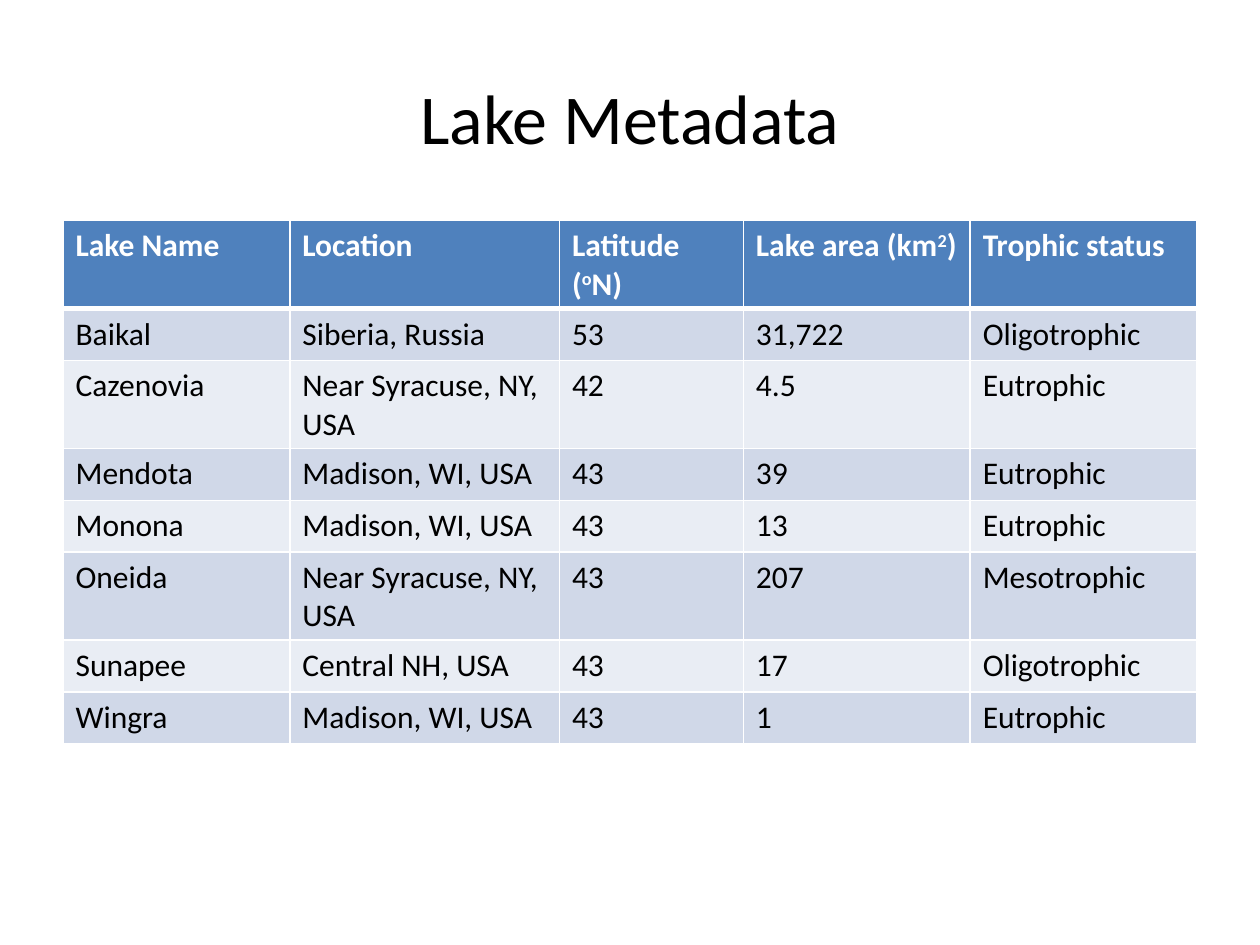
from dataclasses import dataclass

from lxml import etree
from pptx import Presentation
from pptx import util as u
from pptx.dml import color
from pptx.enum import text
from pptx.oxml import ns


@dataclass(frozen=True)
class Theme:
    """Font, type sizes, colours and border widths of the slide."""
    font: str = "Calibri"
    title_size: int = 40
    table_size: int = 18
    ink: str = "000000"
    white: str = "FFFFFF"
    header: str = "4F81BD"
    bands: tuple = ("D0D8E8", "E9EDF4")
    thin: int = 1
    thick: int = 3


THEME = Theme()
COLUMN_WIDTHS = (1.8, 2.14, 1.46, 1.8, 1.8)
ROW_HEIGHT = 0.41
HEADINGS = (
    ("Lake Name",),
    ("Location",),
    ("Latitude (", "o", "N)"),
    ("Lake area (km", "2", ")"),
    ("Trophic status",),
)
LAKES = (
    ("Baikal", "Siberia, Russia", "53", "31,722", "Oligotrophic"),
    ("Cazenovia", "Near Syracuse, NY, USA", "42", "4.5", "Eutrophic"),
    ("Mendota", "Madison, WI, USA", "43", "39", "Eutrophic"),
    ("Monona", "Madison, WI, USA", "43", "13", "Eutrophic"),
    ("Oneida", "Near Syracuse, NY, USA", "43", "207", "Mesotrophic"),
    ("Sunapee", "Central NH, USA", "43", "17", "Oligotrophic"),
    ("Wingra", "Madison, WI, USA", "43", "1", "Eutrophic"),
)


def add_span(para, words, size, ink, bold=False, raised=False):
    """Add one run, raised as a superscript if asked."""
    span = para.add_run()
    span.text = words
    span.font.name = THEME.font
    span.font.size = u.Pt(size)
    span.font.bold = bold
    span.font.color.rgb = color.RGBColor.from_string(ink)
    if raised:
        span.font._element.set("baseline", "30000")


def add_title(page, words):
    """Add the centred title."""
    box = page.shapes.add_textbox(u.Inches(0.5), u.Inches(0.3), u.Inches(9), u.Inches(1.25))
    frame = box.text_frame
    frame.word_wrap = True
    frame.vertical_anchor = text.MSO_ANCHOR.MIDDLE
    para = frame.paragraphs[0]
    para.alignment = text.PP_ALIGN.CENTER
    add_span(para, words, THEME.title_size, THEME.ink)


def add_borders(cell, top, bottom):
    """Draw white borders on all four sides of a cell."""
    properties = cell._tc.get_or_add_tcPr()
    widths = {"lnL": THEME.thin, "lnR": THEME.thin, "lnT": top, "lnB": bottom}
    for side, width in widths.items():
        line = etree.SubElement(properties, ns.qn(f"a:{side}"), w=str(u.Pt(width)))
        fill = etree.SubElement(line, ns.qn("a:solidFill"))
        etree.SubElement(fill, ns.qn("a:srgbClr"), val=THEME.white)


def fill_cell(cell, parts, row):
    """Style a cell and write its parts, every second one raised."""
    is_header = row == 0
    add_borders(
        cell,
        top=THEME.thick if row == 1 else THEME.thin,
        bottom=THEME.thick if is_header else THEME.thin,
    )
    shade = THEME.header if is_header else THEME.bands[(row - 1) % 2]
    cell.fill.solid()
    cell.fill.fore_color.rgb = color.RGBColor.from_string(shade)
    ink = THEME.white if is_header else THEME.ink
    para = cell.text_frame.paragraphs[0]
    for index, part in enumerate(parts):
        add_span(para, part, THEME.table_size, ink, is_header, raised=index % 2 == 1)


def add_lake_table(page):
    """Add the table of lakes under its header row."""
    rows = [HEADINGS] + [[(value,) for value in lake] for lake in LAKES]
    table = page.shapes.add_table(
        len(rows), len(COLUMN_WIDTHS), u.Inches(0.5), u.Inches(1.75),
        u.Inches(sum(COLUMN_WIDTHS)), u.Inches(ROW_HEIGHT * len(rows)),
    ).table
    for column, width in zip(table.columns, COLUMN_WIDTHS):
        column.width = u.Inches(width)
    for row, values in enumerate(rows):
        table.rows[row].height = u.Inches(ROW_HEIGHT)
        for column, parts in enumerate(values):
            fill_cell(table.cell(row, column), parts, row)


def main():
    """Build the slide and save it."""
    deck = Presentation()
    deck.slide_width = u.Inches(10)
    deck.slide_height = u.Inches(7.5)
    page = deck.slides.add_slide(deck.slide_layouts[6])
    add_title(page, "Lake Metadata")
    add_lake_table(page)
    deck.save("out.pptx")


if __name__ == "__main__":
    main()
